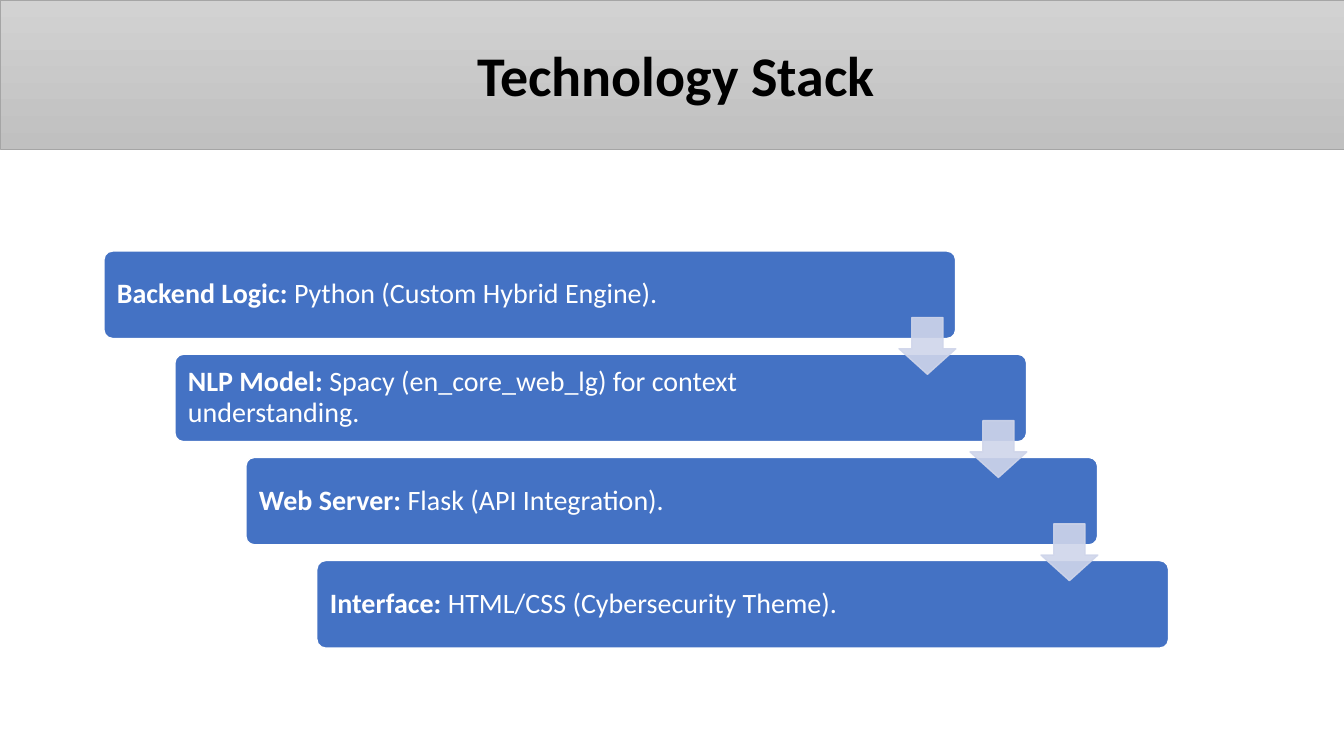
from lxml import etree
from pptx import Presentation
from pptx.dml.color import RGBColor
from pptx.enum import shapes, text
from pptx.oxml import ns
from pptx.util import Pt

COLORS = {"ink": "000000", "white": "FFFFFF", "blue": "4472C4", "pale": "CFD5EA",
          "light": "D2D2D2", "dark": "C0C0C0", "edge": "A5A5A5"}
KIND = shapes.MSO_SHAPE
LAYERS = [
    ("Backend Logic:", " Python (Custom Hybrid Engine)."),
    ("NLP Model:", " Spacy (en_core_web_lg) for context understanding."),
    ("Web Server:", " Flask (API Integration)."),
    ("Interface:", " HTML/CSS (Cybersecurity Theme)."),
]
LEFT, TOP = 74.2, 179.3
STEP_X, STEP_Y = 50.7, 73.7


def rgb(name):
    return RGBColor.from_string(COLORS[name])


class Deck:
    def __init__(self, width, height, font):
        self.prs = Presentation()
        self.prs.slide_width, self.prs.slide_height = Pt(width), Pt(height)
        self.slide = self.prs.slides.add_slide(self.prs.slide_layouts[6])
        self.font = font

    def shape(self, kind, box, fill, line, weight=1, adjust=()):
        item = self.slide.shapes.add_shape(kind, *map(Pt, box))
        item.shadow.inherit = False
        for i, value in enumerate(adjust):
            item.adjustments[i] = value
        item.fill.solid()
        item.fill.fore_color.rgb = rgb(fill)
        item.line.color.rgb = rgb(line)
        item.line.width = Pt(weight)
        return item

    def band(self, box):
        item = self.shape(KIND.RECTANGLE, box, "light", "edge", 0.5)
        item.fill.gradient()
        item.fill.gradient_angle = 270
        for stop, name in zip(item.fill.gradient_stops, ("light", "dark")):
            stop.color.rgb = rgb(name)

    def label(self, frame, runs, size, color, form):
        """Fill a frame with (words, bold) runs in one paragraph."""
        for key, value in form.items():
            setattr(frame, key, value)
        para = frame.paragraphs[0]
        para.alignment = text.PP_ALIGN.LEFT
        for words, bold in runs:
            run = para.add_run()
            run.text = words
            style = {"name": self.font, "size": Pt(size), "bold": bold}
            for key, value in style.items():
                setattr(run.font, key, value)
            run.font.color.rgb = rgb(color)
        return para

    def title(self, words, box):
        item = self.slide.shapes.add_textbox(*map(Pt, box))
        self.label(item.text_frame, [(words, True)], 40, "ink", {"word_wrap": True})

    def card(self, x, y, name, detail):
        item = self.shape(KIND.ROUNDED_RECTANGLE, (x, y, 608.4, 62.5),
                          "blue", "white", adjust=[0.1])
        form = {"word_wrap": True, "vertical_anchor": text.MSO_ANCHOR.MIDDLE,
                "margin_left": Pt(7.5), "margin_right": Pt(100),
                "margin_top": Pt(6), "margin_bottom": Pt(6)}
        para = self.label(item.text_frame, [(name, True), (detail, False)],
                          20, "white", form)
        para.line_spacing = 0.9

    def arrow(self, x, y):
        item = self.shape(KIND.DOWN_ARROW, (x, y, 40.6, 40.6), "pale", "pale",
                          adjust=[0.55, 0.45])
        for color in item.element.spPr.iter(ns.qn("a:srgbClr")):
            etree.SubElement(color, ns.qn("a:alpha"), val="90000")


def main():
    deck = Deck(960, 540, "Calibri")
    deck.band((0, 0, 960, 106.6))
    deck.title("Technology Stack", (334, 25.2, 361, 55.4))
    spots = [(LEFT + i * STEP_X, TOP + i * STEP_Y) for i in range(len(LAYERS))]
    for (x, y), layer in zip(spots, LAYERS):
        deck.card(x, y, *layer)
    for x, y in spots[:-1]:
        deck.arrow(x + 568, y + 47.5)
    deck.prs.save("out.pptx")


if __name__ == "__main__":
    main()
